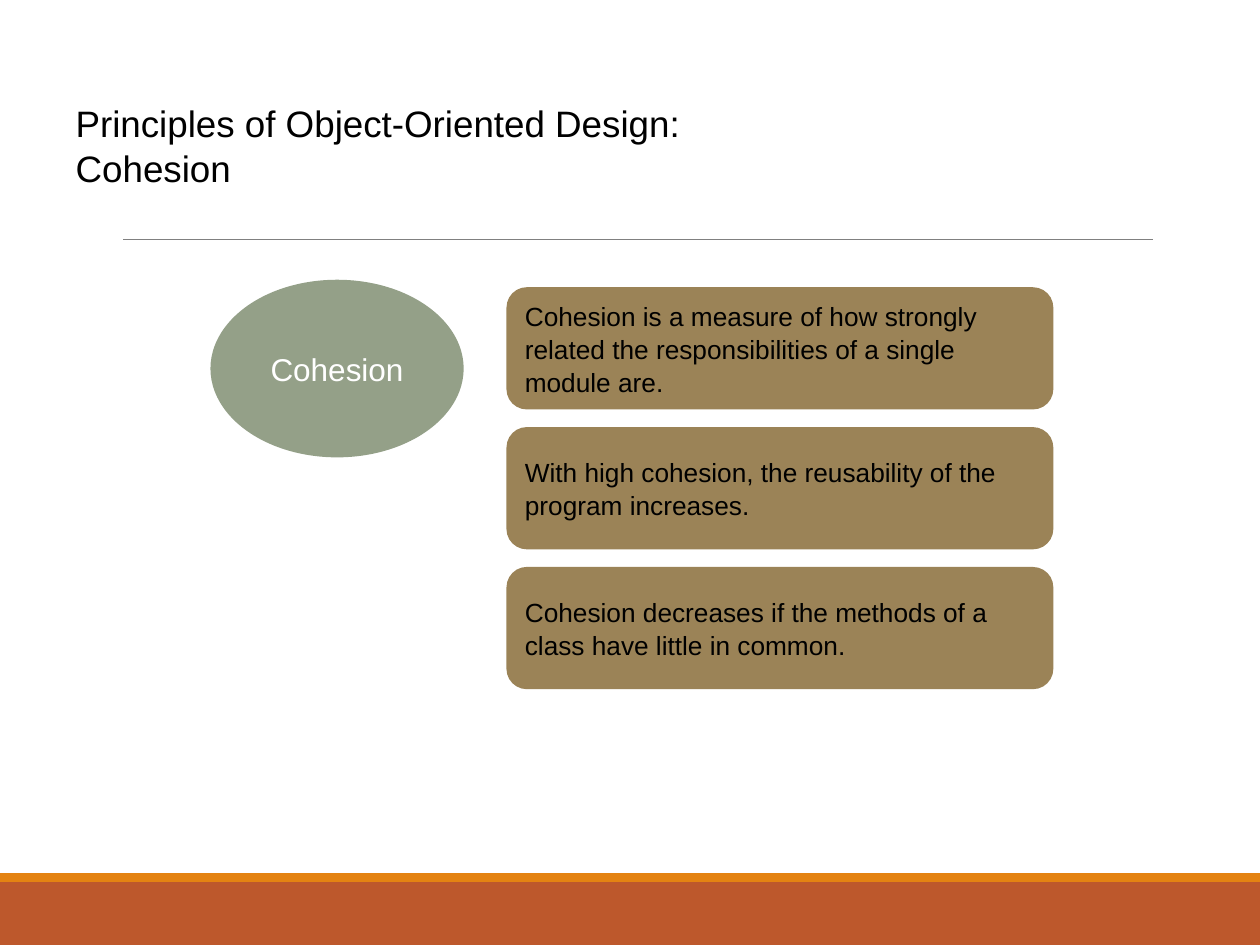
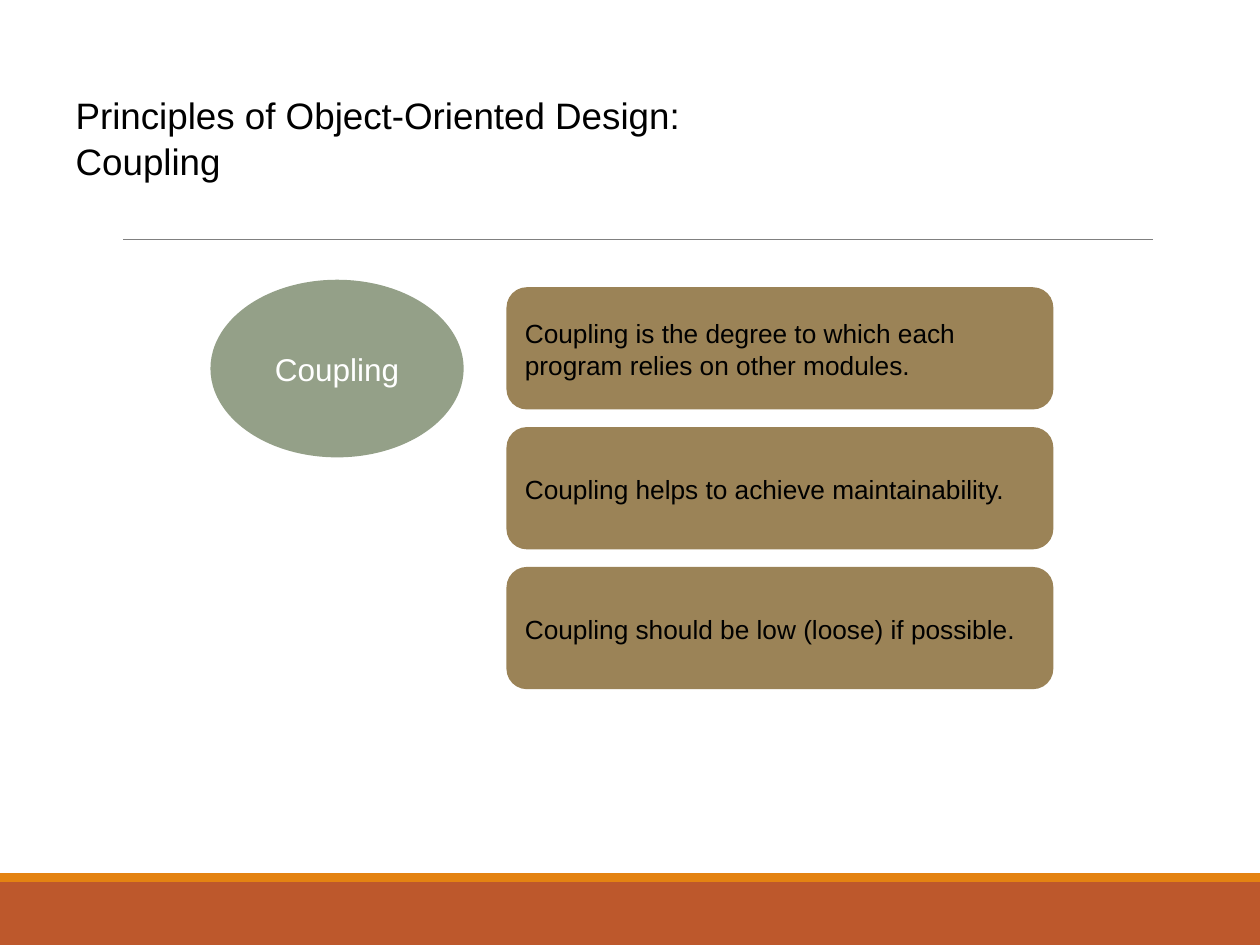
from pptx import Presentation
from pptx.dml.color import RGBColor
from pptx.enum.shapes import MSO_CONNECTOR as Connector, MSO_SHAPE as Shape
from pptx.enum.text import MSO_ANCHOR as Anchor, MSO_AUTO_SIZE as AutoSize, PP_ALIGN as Align
from pptx.oxml.ns import qn
from pptx.util import Inches, Pt
from lxml.etree import SubElement

COLORS = {
    "text": "000000",
    "light": "FFFFFF",
    "rule": "808080",
    "footer": "BD582C",
    "accent": "E48312",
    "topic": "94A088",
    "statement": "9B8357",
}
FONT = "Arial"
LINE_SPACING = 1.04
TITLE_PREFIX = "Principles of Object-Oriented Design:"

# Title height and width differ by slide; left and top are shared
PRINCIPLES = [
    ("Cohesion", (7.77, 1.36), [
        "Cohesion is a measure of how strongly related the responsibilities of a single module are.",
        "With high cohesion, the reusability of the program increases.",
        "Cohesion decreases if the methods of a class have little in common.",
    ]),
    ("Coupling", (8.83, 1.3), [
        "Coupling is the degree to which each program relies on other modules.",
        "Coupling helps to achieve maintainability.",
        "Coupling should be low (loose) if possible.",
    ]),
]


def color(name):
    return RGBColor.from_string(COLORS[name])


class Deck:
    """Holds the presentation, its style and the current slide."""

    def __init__(self):
        self.presentation = Presentation()
        self.presentation.slide_width = Inches(10)
        self.presentation.slide_height = Inches(7.5)
        self.slide = None

    def new_slide(self):
        title_only = self.presentation.slide_layouts[5]
        self.slide = self.presentation.slides.add_slide(title_only)
        # Footer bands and the rule under the title
        self.shape(Shape.RECTANGLE, 0, 7, 10, 0.5, "footer")
        self.shape(Shape.RECTANGLE, 0, 6.93, 10, 0.07, "accent")
        self.rule(0.98, 9.15, 1.9)

    def shape(self, kind, left, top, width, height, fill):
        shape = self.slide.shapes.add_shape(
            kind, Inches(left), Inches(top), Inches(width), Inches(height))
        shape.shadow.inherit = False
        shape.fill.solid()
        shape.fill.fore_color.rgb = color(fill)
        shape.line.fill.background()
        return shape

    def rule(self, start, end, top):
        line = self.slide.shapes.add_connector(
            Connector.STRAIGHT, Inches(start), Inches(top), Inches(end), Inches(top))
        line.line.color.rgb = color("rule")
        line.line.width = Pt(0.5)
        SubElement(line._element.spPr, qn("a:effectLst"))

    def text(self, shape, lines, size, font_color, align=Align.LEFT, anchor=Anchor.MIDDLE):
        frame = shape.text_frame
        frame.word_wrap = True
        frame.auto_size = AutoSize.NONE
        frame.vertical_anchor = anchor
        paragraph = frame.paragraphs[0]
        paragraph.alignment = align
        paragraph.line_spacing = LINE_SPACING
        for index, line in enumerate(lines):
            if index:
                paragraph.add_line_break()
            run = paragraph.add_run()
            run.text = line
            run.font.name = FONT
            run.font.size = Pt(size)
            run.font.color.rgb = color(font_color)

    def title(self, lines, width, height):
        title = self.slide.shapes.title
        title.left, title.top = Inches(0.5), Inches(0.2)
        title.width, title.height = Inches(width), Inches(height)
        self.text(title, lines, 21, "text", anchor=Anchor.BOTTOM)

    def topic(self, name):
        ellipse = self.shape(Shape.OVAL, 1.67, 2.22, 2.01, 1.41, "topic")
        self.text(ellipse, [name], 18, "light", align=Align.CENTER)

    def statements(self, texts):
        for row, statement in enumerate(texts):
            box = self.shape(Shape.ROUNDED_RECTANGLE, 4.02, 2.28 + row * 1.11,
                             4.34, 0.97, "statement")
            self.text(box, [statement], 15, "text")


def main():
    deck = Deck()
    for name, title_size, texts in PRINCIPLES:
        deck.new_slide()
        deck.title([TITLE_PREFIX, name], *title_size)
        deck.statements(texts)
        deck.topic(name)
    deck.presentation.save("out.pptx")


if __name__ == "__main__":
    main()
